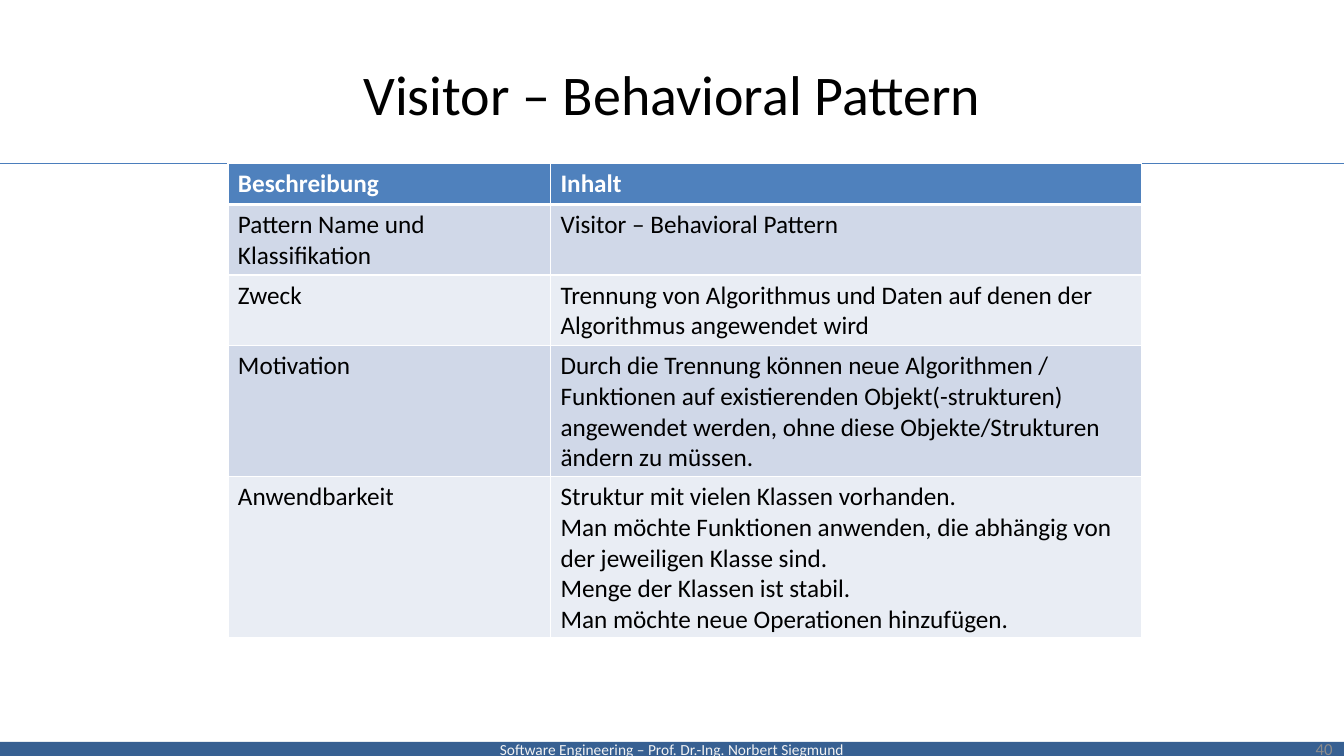
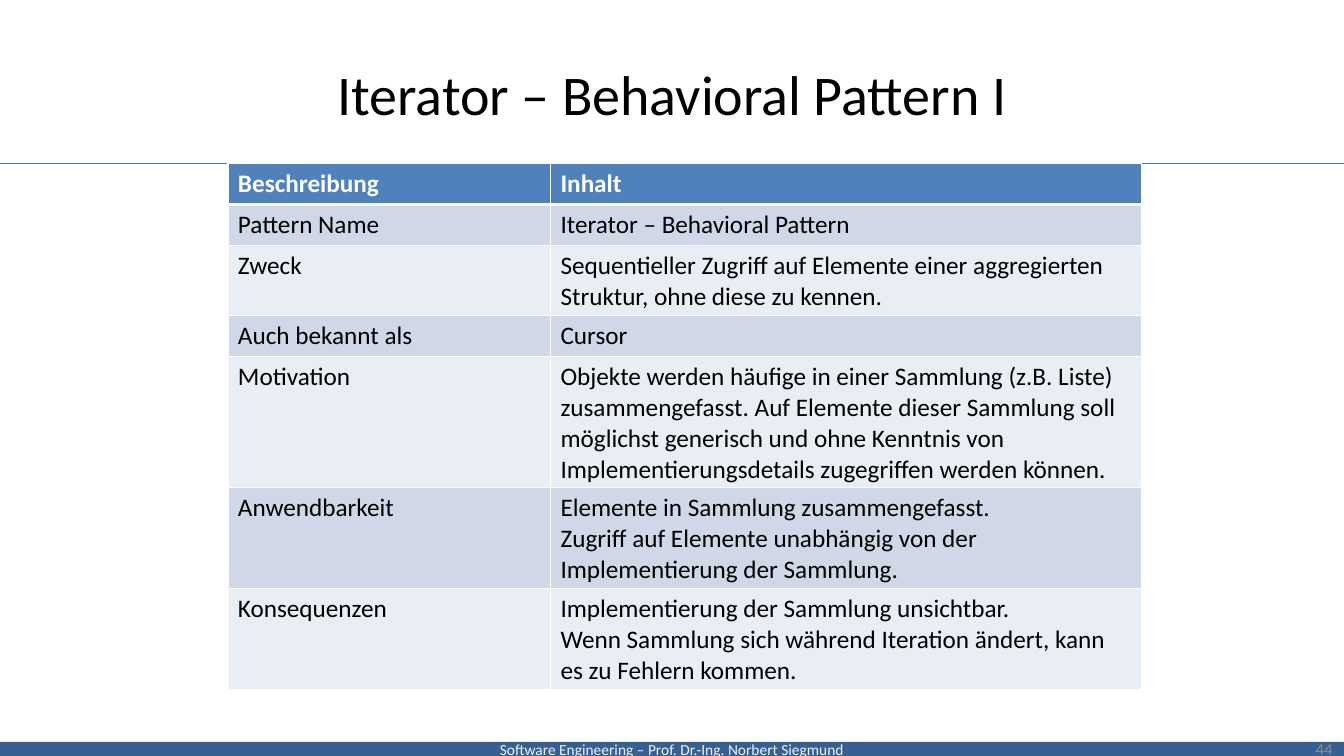
from lxml.etree import SubElement
from pptx import Presentation
from pptx.dml.color import RGBColor
from pptx.enum.shapes import MSO_CONNECTOR, MSO_SHAPE
from pptx.enum.text import MSO_ANCHOR, PP_ALIGN
from pptx.oxml.ns import qn
from pptx.util import Pt

FOOTER = "Software Engineering – Prof. Dr.-Ing. Norbert Siegmund"
HEADER = ("Beschreibung", ["Inhalt"])


def rgb(value):
    return RGBColor.from_string(value)


class PatternDeck:
    FONT = "Calibri"
    WIDTH, HEIGHT = 960, 540
    BLACK, WHITE = "000000", "FFFFFF"
    FOOTER_FILL, FOOTER_TEXT, NUMBER_TEXT = "376092", "F2F2F2", "8C8C8C"
    RULE = "4B7EBC"
    HEADER_FILL, BANDS = "4F81BD", ("E9EDF4", "D0D8E8")
    COLUMNS = (230.4, 422.2)
    ROW_HEIGHT = 29.2
    RULE_TOP = 116.8

    def __init__(self):
        self.prs = Presentation()
        self.prs.slide_width = Pt(self.WIDTH)
        self.prs.slide_height = Pt(self.HEIGHT)
        self.slide = None

    def set_lines(self, frame, lines, size, color, align=PP_ALIGN.LEFT, bold=False):
        frame.word_wrap = True
        for i, line in enumerate(lines):
            paragraph = frame.add_paragraph() if i else frame.paragraphs[0]
            paragraph.text = line
            paragraph.alignment = align
            font = paragraph.font
            font.name, font.size, font.bold = self.FONT, Pt(size), bold
            font.color.rgb = rgb(color)

    def text(self, left, top, width, height, line, size, color, align):
        box = self.slide.shapes.add_textbox(Pt(left), Pt(top), Pt(width), Pt(height))
        box.text_frame.vertical_anchor = MSO_ANCHOR.MIDDLE
        self.set_lines(box.text_frame, [line], size, color, align)

    def footer_band(self):
        band = self.slide.shapes.add_shape(
            MSO_SHAPE.RECTANGLE, Pt(0), Pt(530), Pt(self.WIDTH), Pt(10))
        band.shadow.inherit = False
        band.fill.solid()
        band.fill.fore_color.rgb = rgb(self.FOOTER_FILL)
        band.line.fill.background()
        frame = band.text_frame
        frame.margin_top = frame.margin_bottom = 0
        frame.vertical_anchor = MSO_ANCHOR.MIDDLE
        self.set_lines(frame, [FOOTER], 11, self.FOOTER_TEXT, PP_ALIGN.CENTER)

    def title_rule(self):
        rule = self.slide.shapes.add_connector(
            MSO_CONNECTOR.STRAIGHT, Pt(0), Pt(self.RULE_TOP), Pt(964), Pt(self.RULE_TOP))
        rule.line.color.rgb = rgb(self.RULE)
        rule.line.width = Pt(0.75)
        SubElement(rule._element.spPr, qn("a:effectLst"))

    def new_slide(self, title, number):
        self.slide = self.prs.slides.add_slide(self.prs.slide_layouts[6])
        self.footer_band()
        self.title_rule()
        self.text(48, 21.6, 864, 90, title, 40, self.BLACK, PP_ALIGN.CENTER)
        self.text(735, 520.5, 224, 28.8, str(number), 12, self.NUMBER_TEXT, PP_ALIGN.RIGHT)

    def borders(self, cell, top, bottom):
        properties = cell._tc.get_or_add_tcPr()
        for side, width in (("L", 1), ("R", 1), ("T", top), ("B", bottom)):
            line = SubElement(properties, qn(f"a:ln{side}"), w=str(Pt(width)))
            fill = SubElement(line, qn("a:solidFill"))
            SubElement(fill, qn("a:srgbClr"), val=self.WHITE)

    def table(self, entries):
        rows = [HEADER, *entries]
        table = self.slide.shapes.add_table(
            len(rows), 2, Pt(162.8), Pt(self.RULE_TOP),
            Pt(sum(self.COLUMNS)), Pt(self.ROW_HEIGHT * len(rows))).table
        for column, width in zip(table.columns, self.COLUMNS):
            column.width = Pt(width)
        for r, (label, content) in enumerate(rows):
            is_header = r == 0
            fill = self.HEADER_FILL if is_header else self.BANDS[r % 2]
            for c, lines in enumerate(([label], content)):
                cell = table.cell(r, c)
                self.borders(cell, top=3 if r == 1 else 1, bottom=3 if is_header else 1)
                cell.fill.solid()
                cell.fill.fore_color.rgb = rgb(fill)
                self.set_lines(cell.text_frame, lines, 18,
                               self.WHITE if is_header else self.BLACK, bold=is_header)


def main():
    deck = PatternDeck()

    # Visitor
    deck.new_slide("Visitor – Behavioral Pattern", 40)
    deck.table([
        ("Pattern Name und Klassifikation", ["Visitor – Behavioral Pattern"]),
        ("Zweck", ["Trennung von Algorithmus und Daten auf denen der "
                   "Algorithmus angewendet wird"]),
        ("Motivation", ["Durch die Trennung können neue Algorithmen / Funktionen auf "
                        "existierenden Objekt(-strukturen) angewendet werden, ohne "
                        "diese Objekte/Strukturen ändern zu müssen."]),
        ("Anwendbarkeit", ["Struktur mit vielen Klassen vorhanden.",
                           "Man möchte Funktionen anwenden, die abhängig von der "
                           "jeweiligen Klasse sind.",
                           "Menge der Klassen ist stabil.",
                           "Man möchte neue Operationen hinzufügen."]),
    ])

    # Iterator
    deck.new_slide("Iterator – Behavioral Pattern I", 44)
    deck.table([
        ("Pattern Name", ["Iterator – Behavioral Pattern"]),
        ("Zweck", ["Sequentieller Zugriff auf Elemente einer aggregierten "
                   "Struktur, ohne diese zu kennen."]),
        ("Auch bekannt als", ["Cursor"]),
        ("Motivation", ["Objekte werden häufige in einer Sammlung (z.B. Liste) "
                        "zusammengefasst. Auf Elemente dieser Sammlung soll möglichst "
                        "generisch und ohne Kenntnis von Implementierungsdetails "
                        "zugegriffen werden können."]),
        ("Anwendbarkeit", ["Elemente in Sammlung zusammengefasst.",
                           "Zugriff auf Elemente unabhängig von der Implementierung "
                           "der Sammlung."]),
        ("Konsequenzen", ["Implementierung der Sammlung unsichtbar.",
                          "Wenn Sammlung sich während Iteration ändert, kann es zu "
                          "Fehlern kommen."]),
    ])

    deck.prs.save("out.pptx")


if __name__ == "__main__":
    main()
